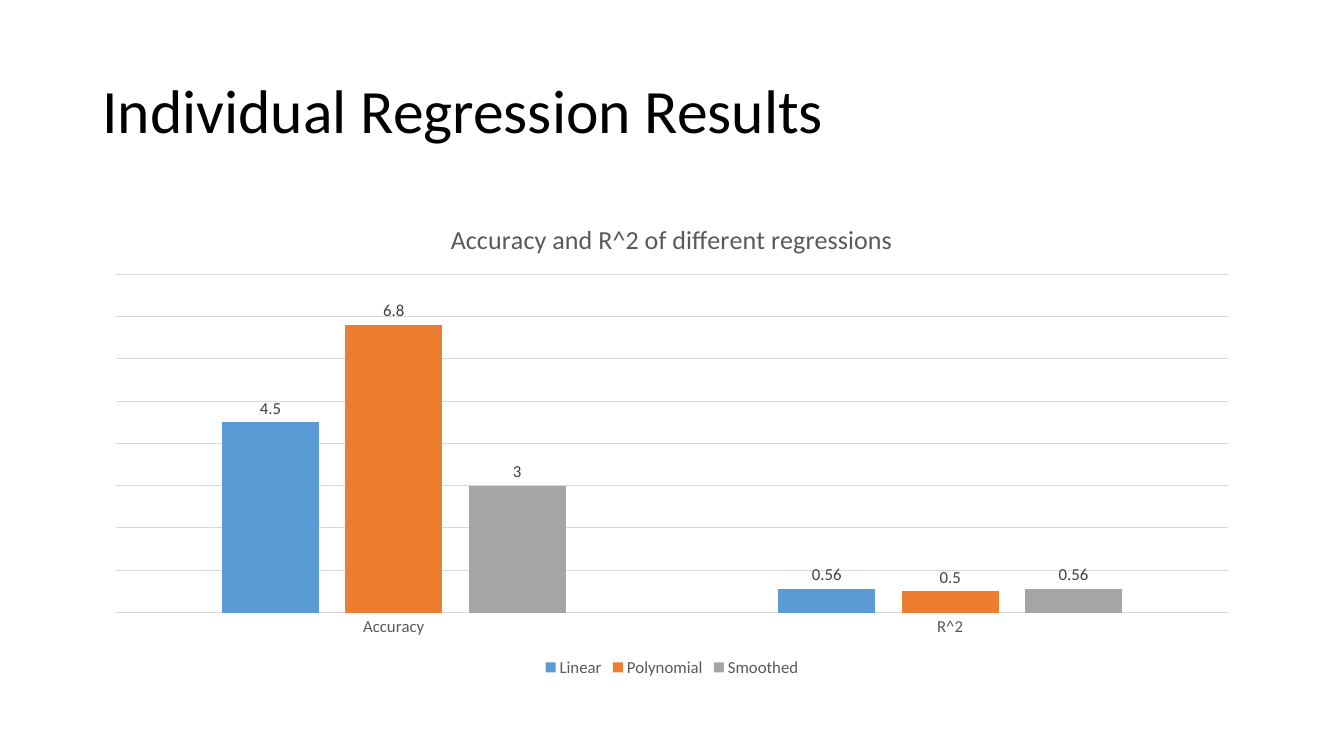
from dataclasses import dataclass

from pptx import Presentation
from pptx.chart.chart import Chart
from pptx.chart.data import CategoryChartData
from pptx.dml.color import RGBColor
from pptx.enum.chart import XL_CHART_TYPE as ChartType
from pptx.enum.chart import XL_LABEL_POSITION as LabelPosition
from pptx.enum.chart import XL_LEGEND_POSITION as LegendPosition
from pptx.enum.chart import XL_TICK_MARK as TickMark
from pptx.enum.text import MSO_ANCHOR as Anchor
from pptx.slide import Slide
from pptx.text.text import Font
from pptx.util import Cm, Pt

FONT = "Calibri"
BLACK = RGBColor(0x00, 0x00, 0x00)
DARK_GREY = RGBColor(0x40, 0x40, 0x40)
TEXT_GREY = RGBColor(0x59, 0x59, 0x59)
LINE_GREY = RGBColor(0xD9, 0xD9, 0xD9)
BLUE = RGBColor(0x5B, 0x9B, 0xD5)
ORANGE = RGBColor(0xED, 0x7D, 0x31)
GREY = RGBColor(0xA5, 0xA5, 0xA5)

LEFT = Cm(2.33)
WIDTH = Cm(29.21)


@dataclass(frozen=True)
class Regression:
    name: str
    accuracy: float
    r_squared: float
    color: RGBColor


REGRESSIONS = (
    Regression("Linear", 4.5, 0.56, BLUE),
    Regression("Polynomial", 6.8, 0.5, ORANGE),
    Regression("Smoothed", 3, 0.56, GREY),
)


def style_font(font: Font, size: float, color: RGBColor) -> None:
    font.name = FONT
    font.size = Pt(size)
    font.bold = False
    font.color.rgb = color


def add_heading(page: Slide, text: str) -> None:
    box = page.shapes.add_textbox(LEFT, Cm(1.01), WIDTH, Cm(3.68))
    box.text_frame.word_wrap = True
    box.text_frame.vertical_anchor = Anchor.MIDDLE
    box.text_frame.text = text
    para = box.text_frame.paragraphs[0]
    para.line_spacing = 0.9
    style_font(para.runs[0].font, 44, BLACK)


def style_axes(chart: Chart) -> None:
    category_axis = chart.category_axis
    category_axis.major_tick_mark = TickMark.NONE
    category_axis.minor_tick_mark = TickMark.NONE
    style_font(category_axis.tick_labels.font, 12, TEXT_GREY)
    value_axis = chart.value_axis
    value_axis.visible = False
    value_axis.minimum_scale = 0
    value_axis.maximum_scale = 8
    value_axis.major_unit = 1
    value_axis.has_major_gridlines = True
    for line in (category_axis.format.line, value_axis.major_gridlines.format.line):
        line.color.rgb = LINE_GREY
        line.width = Pt(0.75)


def style_series(chart: Chart) -> None:
    plot = chart.plots[0]
    plot.gap_width = 219
    plot.overlap = -27
    plot.vary_by_categories = False
    for series, regression in zip(plot.series, REGRESSIONS):
        series.format.fill.solid()
        series.format.fill.fore_color.rgb = regression.color
        series.invert_if_negative = False
        labels = series.data_labels
        labels.show_value = True
        labels.position = LabelPosition.OUTSIDE_END
        style_font(labels.font, 12, DARK_GREY)


def add_results_chart(page: Slide, title: str) -> None:
    results = CategoryChartData()
    results.categories = ["Accuracy", "R^2"]
    for regression in REGRESSIONS:
        results.add_series(regression.name, (regression.accuracy, regression.r_squared))
    frame = page.shapes.add_chart(
        ChartType.COLUMN_CLUSTERED, LEFT, Cm(5.08), WIDTH, Cm(12.09), results
    )
    chart = frame.chart
    style_font(chart.font, 10, BLACK)
    chart.has_title = True
    chart.chart_title.text_frame.text = title
    chart.chart_title.include_in_layout = False
    style_font(chart.chart_title.text_frame.paragraphs[0].runs[0].font, 18.6, TEXT_GREY)
    chart.has_legend = True
    chart.legend.position = LegendPosition.BOTTOM
    chart.legend.include_in_layout = False
    style_font(chart.legend.font, 12, TEXT_GREY)
    style_axes(chart)
    style_series(chart)


deck = Presentation()
deck.slide_width = Cm(33.87)
deck.slide_height = Cm(19.05)
results_page = deck.slides.add_slide(deck.slide_layouts[6])
add_heading(results_page, "Individual Regression Results")
add_results_chart(results_page, "Accuracy and R^2 of different regressions")
deck.save("out.pptx")
